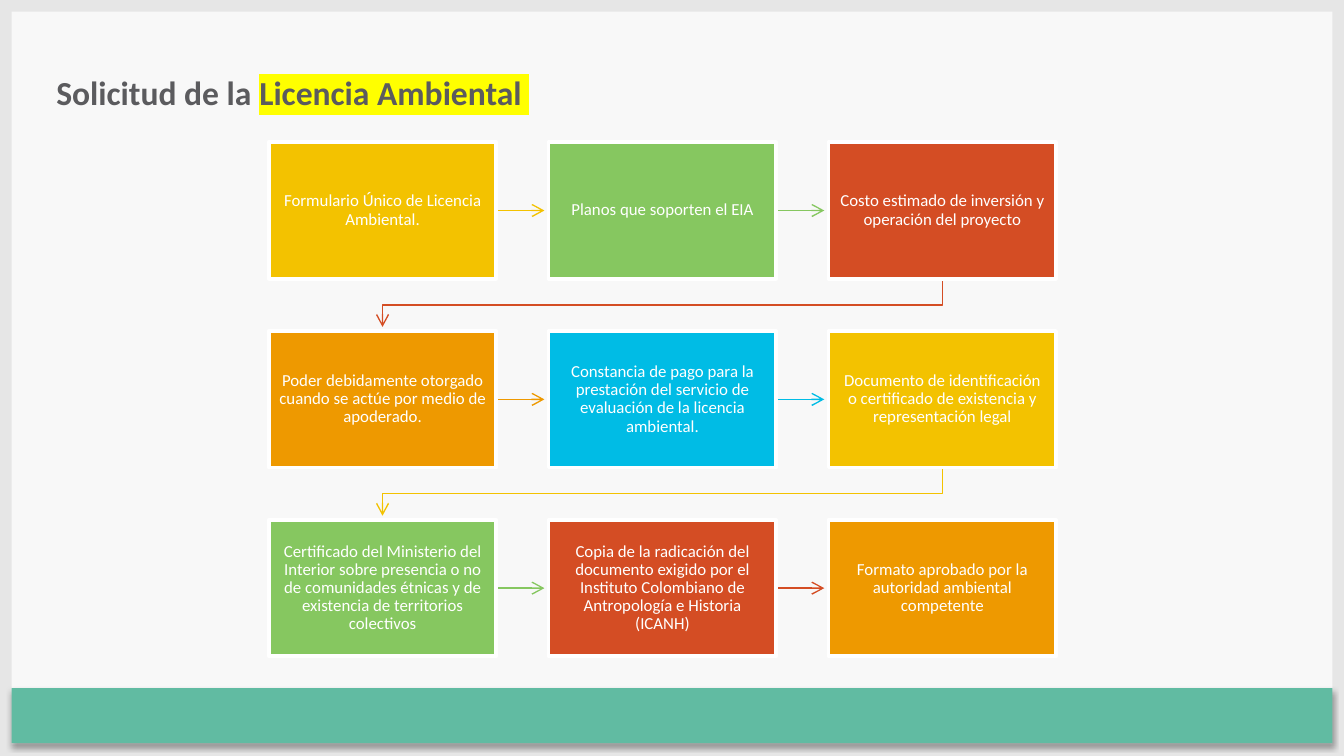
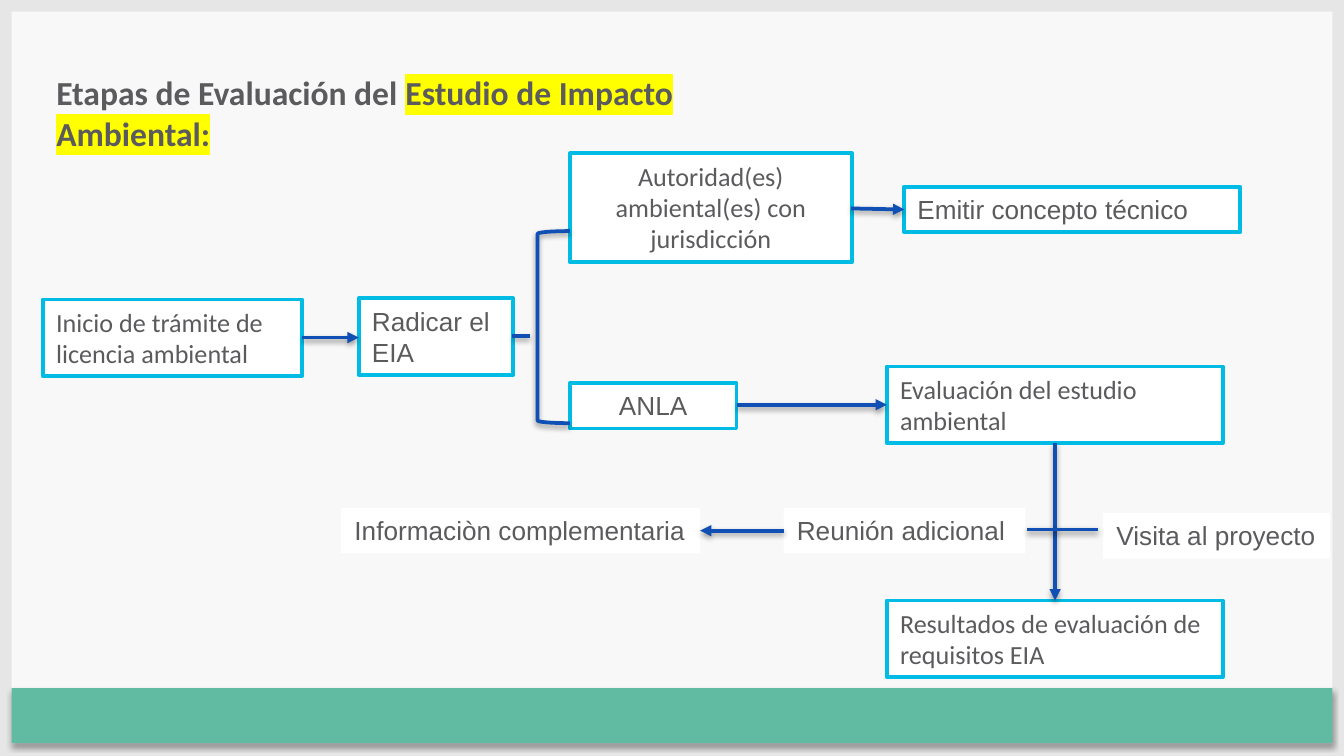
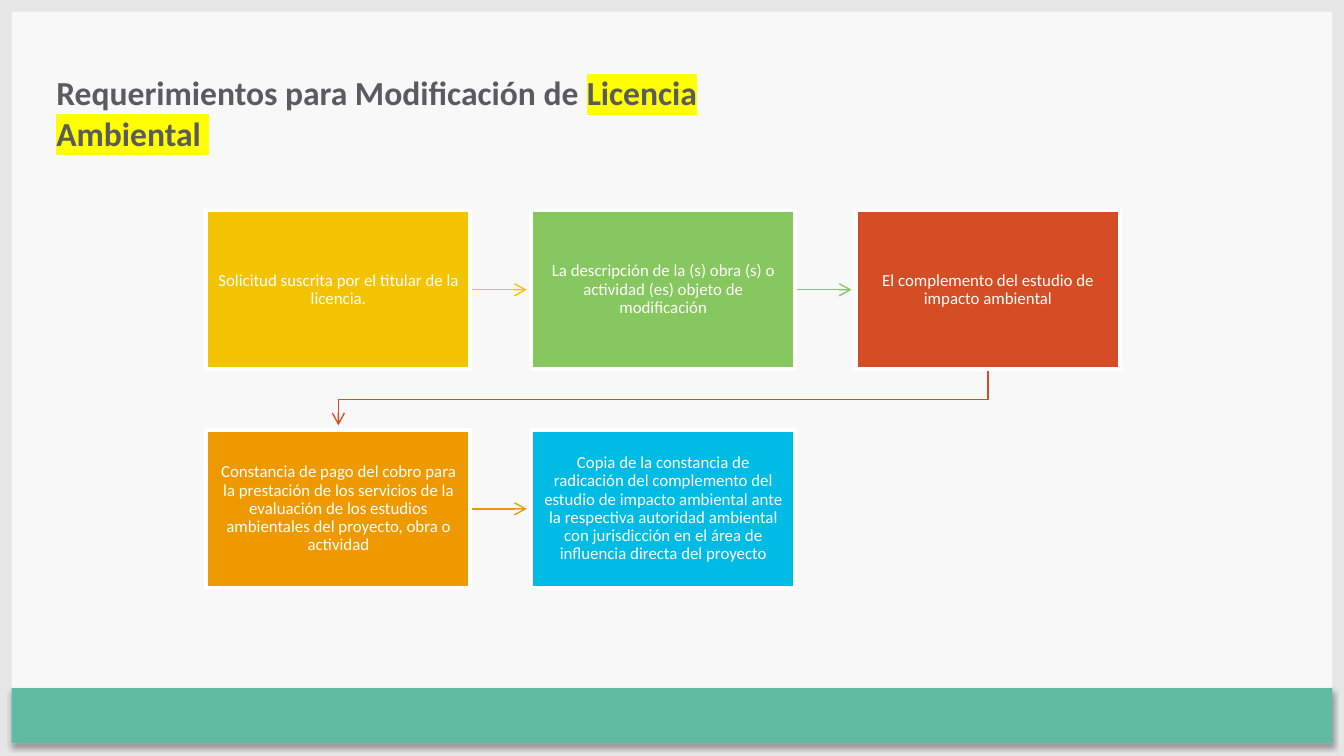
from lxml.etree import SubElement
from pptx import Presentation
from pptx.dml.color import RGBColor
from pptx.enum.shapes import MSO_CONNECTOR, MSO_SHAPE
from pptx.enum.text import MSO_ANCHOR, MSO_AUTO_SIZE, PP_ALIGN
from pptx.oxml import parse_xml
from pptx.oxml.ns import nsdecls, qn
from pptx.util import Cm, Pt

BACKGROUND = RGBColor(0xF8, 0xF8, 0xF8)
FRAME = RGBColor(0xE6, 0xE6, 0xE6)
BAND = RGBColor(0x61, 0xBB, 0xA2)
TEXT = RGBColor(0x5B, 0x5B, 0x5E)
WHITE = RGBColor(0xFF, 0xFF, 0xFF)
YELLOW = RGBColor(0xF3, 0xC2, 0x00)
GREEN = RGBColor(0x86, 0xC7, 0x60)
RED = RGBColor(0xD4, 0x4D, 0x24)
ORANGE = RGBColor(0xEE, 0x99, 0x00)
CYAN = RGBColor(0x00, 0xBC, 0xE5)
BLUE = RGBColor(0x10, 0x4F, 0xB3)
STEP_COLORS = [YELLOW, GREEN, RED, ORANGE, CYAN]
HIGHLIGHT = "FFFF00"

SLIDE_WIDTH, SLIDE_HEIGHT = 25.4, 14.29
FRAME_WIDTH = 0.22
BAND_TOP, BAND_HEIGHT = 13.01, 1.04
COLUMNS = 3
ARROW_CLEARANCE = 0.08
BAND_SHADOW = (1.8, 35)
LINE_SHADOW = (1.6, 38)

REQUEST = {
    "title": ("Solicitud de la ", "Licencia Ambiental "),
    "left": 5.08, "top": 2.69, "width": 4.3,
    "steps": [
        "Formulario Único de Licencia Ambiental.",
        "Planos que soporten el EIA",
        "Costo estimado de inversión y operación del proyecto",
        "Poder debidamente otorgado cuando se actúe por medio de apoderado.",
        "Constancia de pago para la prestación del servicio de evaluación de la licencia ambiental.",
        "Documento de identificación o certificado de existencia y representación legal",
        "Certificado del Ministerio del Interior sobre presencia o no de comunidades étnicas "
        "y de existencia de territorios colectivos",
        "Copia de la radicación del documento exigido por el Instituto Colombiano de "
        "Antropología e Historia (ICANH)",
        "Formato aprobado por la autoridad ambiental competente",
    ],
}
MODIFICATION = {
    "title": ("Requerimientos para Modificación de ", "Licencia Ambiental "),
    "left": 3.9, "top": 3.98, "width": 4.99,
    "steps": [
        "Solicitud suscrita por el titular de la licencia.",
        "La descripción de la (s) obra (s) o actividad (es) objeto de modificación",
        "El complemento del estudio de impacto ambiental",
        "Constancia de pago del cobro para la prestación de los servicios de la evaluación "
        "de los estudios ambientales del proyecto, obra o actividad",
        "Copia de la constancia de radicación del complemento del estudio de impacto ambiental "
        "ante la respectiva autoridad ambiental con jurisdicción en el área de influencia "
        "directa del proyecto",
    ],
}

STAGES_TITLE = ("Etapas de Evaluación del ", "Estudio de Impacto Ambiental:")
ONE_LINE, TWO_LINES, THREE_LINES = 0.86, 1.45, 2.06
LEFT, CENTER = PP_ALIGN.LEFT, PP_ALIGN.CENTER
STAGE_BOXES = [
    ("Inicio de trámite de licencia ambiental", "Calibri", LEFT, (0.81, 5.66, 4.9, TWO_LINES)),
    ("Radicar el EIA", "Arial", LEFT, (6.78, 5.64, 2.92, TWO_LINES)),
    ("ANLA", "Arial", CENTER, (10.77, 7.24, 3.15, ONE_LINE)),
    ("Autoridad(es) ambiental(es) con jurisdicción", "Calibri", CENTER,
     (10.77, 2.9, 5.33, THREE_LINES)),
    ("Evaluación del estudio ambiental", "Calibri", LEFT, (16.76, 6.93, 6.35, TWO_LINES)),
    ("Resultados de evaluación de requisitos EIA", "Calibri", LEFT,
     (16.76, 11.35, 6.35, TWO_LINES)),
    ("Emitir concepto técnico", "Arial", LEFT, (17.09, 3.53, 6.35, ONE_LINE)),
]
STAGE_LABELS = [
    ("Reunión adicional", (14.81, 9.6, 4.57, ONE_LINE)),
    ("Visita al proyecto", (20.85, 9.7, 4.29, ONE_LINE)),
    ("Informaciòn complementaria", (6.45, 9.6, 6.78, ONE_LINE)),
]
STAGE_BRACKET = (10.16, 4.37, 0.61, 3.63)
STAGE_ARROWS = [
    (5.71, 6.38, 6.78, 6.38),
    (13.92, 7.65, 16.76, 7.65),
    (19.94, 8.38, 19.94, 11.35),
    (16.08, 3.94, 17.09, 3.96),
    (14.81, 10.03, 13.23, 10.03),
]
STAGE_LINES = [(9.68, 6.35, 10.01, 6.35), (20.75, 10.01, 19.41, 10.01)]


def set_shadow(shape, shadow=None):
    """Replace the theme shadow by none, or by one of (distance, opacity)."""
    effects = SubElement(shape.element.spPr, qn("a:effectLst"))
    if shadow:
        distance, opacity = shadow
        effects.append(parse_xml(
            f'<a:outerShdw {nsdecls("a")} blurRad="{Pt(3.1)}" dist="{Pt(distance)}" '
            f'dir="5400000" rotWithShape="0"><a:srgbClr val="000000">'
            f'<a:alpha val="{opacity * 1000}"/></a:srgbClr></a:outerShdw>'))


def style_line(shape, color, width, shadow=None, arrowhead=None):
    """Set line colour, width, shadow and end arrowhead."""
    shape.line.color.rgb = color
    shape.line.width = Pt(width)
    if arrowhead:
        SubElement(shape.element.spPr.find(qn("a:ln")), qn("a:tailEnd"), type=arrowhead)
    set_shadow(shape, shadow)


def add_box(slide, place, fill, outline=None, shadow=None):
    """Add a filled rectangle placed in centimetres."""
    box = slide.shapes.add_shape(MSO_SHAPE.RECTANGLE, *map(Cm, place))
    box.fill.solid()
    box.fill.fore_color.rgb = fill
    if outline:
        style_line(box, outline, 2, shadow)
    else:
        box.line.fill.background()
        set_shadow(box, shadow)
    return box


def write(shape, text, font_name, size, color, alignment, anchor):
    """Write one formatted paragraph into a shape."""
    frame = shape.text_frame
    frame.text = text
    frame.word_wrap = True
    frame.vertical_anchor = anchor
    paragraph = frame.paragraphs[0]
    paragraph.alignment = alignment
    font = paragraph.runs[0].font
    font.name, font.size, font.color.rgb = font_name, Pt(size), color
    return frame


def add_connector(slide, ends, color, width, shadow=None, arrowhead=None):
    """Add a straight line between two points."""
    connector = slide.shapes.add_connector(MSO_CONNECTOR.STRAIGHT, *map(Cm, ends))
    style_line(connector, color, width, shadow, arrowhead)


def decorate_layout(layout, slide):
    """Give the layout its background, frame and bottom band."""
    layout.background.fill.solid()
    layout.background.fill.fore_color.rgb = BACKGROUND
    right, bottom = SLIDE_WIDTH - FRAME_WIDTH, SLIDE_HEIGHT - FRAME_WIDTH
    parts = [add_box(slide, place, FRAME) for place in (
        (0, 0, SLIDE_WIDTH, FRAME_WIDTH), (0, bottom, SLIDE_WIDTH, FRAME_WIDTH),
        (0, 0, FRAME_WIDTH, SLIDE_HEIGHT), (right, 0, FRAME_WIDTH, SLIDE_HEIGHT))]
    band_place = (FRAME_WIDTH, BAND_TOP, right - FRAME_WIDTH, BAND_HEIGHT)
    parts.append(add_box(slide, band_place, BAND, shadow=BAND_SHADOW))
    for index, part in enumerate(parts):
        layout.shapes.element.insert(2 + index, part.element)


def set_title(slide, texts, height):
    """Place the title and highlight its second part."""
    title = slide.shapes.title
    title.left, title.top, title.width, title.height = map(Cm, (0.81, 1.24, 12.7, height))
    frame = title.text_frame
    frame.word_wrap = True
    frame.auto_size = MSO_AUTO_SIZE.SHAPE_TO_FIT_TEXT
    frame.vertical_anchor = MSO_ANCHOR.TOP
    paragraph = frame.paragraphs[0]
    paragraph.alignment = PP_ALIGN.LEFT
    for text in texts:
        run = paragraph.add_run()
        run.text = text
        font = run.font
        font.name, font.size, font.bold, font.color.rgb = "Calibri", Pt(18), True, TEXT
    highlight = parse_xml(
        f'<a:highlight {nsdecls("a")}><a:srgbClr val="{HIGHLIGHT}"/></a:highlight>')
    font.fill.fore_color.rgb = TEXT
    run.font.color.rgb = TEXT
    run_properties = paragraph.runs[-1].font.color and run.text and paragraph.runs[-1]
    run_element = paragraph.runs[-1]._r if run_properties else None
    run_element.rPr.find(qn("a:solidFill")).addnext(highlight)


def add_process(slide, process):
    """Draw steps in rows of three, joined by arrows."""
    width = process["width"]
    height, gap = 0.6 * width, 0.23 * width
    places = [(process["left"] + index % COLUMNS * (width + gap),
               process["top"] + index // COLUMNS * (height + gap))
              for index in range(len(process["steps"]))]
    for index, (step, (left, top)) in enumerate(zip(process["steps"], places)):
        color = STEP_COLORS[index % len(STEP_COLORS)]
        if index + 1 < len(places):
            next_left, next_top = places[index + 1]
            if next_top == top:
                middle = top + height / 2
                ends = (left + width, middle, next_left - ARROW_CLEARANCE, middle)
                add_connector(slide, ends, color, 0.75, arrowhead="arrow")
            else:
                start, end = left + width / 2, next_left + width / 2
                bottom = top + height
                turn = bottom + gap / 2
                points = [(start, turn), (end, turn), (end, next_top - ARROW_CLEARANCE)]
                builder = slide.shapes.build_freeform(Cm(start), Cm(bottom))
                builder.add_line_segments([(Cm(x), Cm(y)) for x, y in points], close=False)
                elbow = builder.convert_to_shape()
                elbow.fill.background()
                style_line(elbow, color, 0.75, arrowhead="arrow")
        box = add_box(slide, (left, top, width, height), color, WHITE)
        frame = write(box, step, "Calibri", 9, WHITE, CENTER, MSO_ANCHOR.MIDDLE)
        frame.paragraphs[0].line_spacing = 0.9
        frame.margin_left = frame.margin_right = Cm(0.18)
        frame.margin_top = frame.margin_bottom = Cm(0.18)


def add_stages(slide):
    """Draw the evaluation stages and the lines between them."""
    for text, font_name, alignment, place in STAGE_BOXES:
        box = add_box(slide, place, WHITE, CYAN)
        write(box, text, font_name, 14, TEXT, alignment, MSO_ANCHOR.TOP)
    for text, place in STAGE_LABELS:
        label = add_box(slide, place, WHITE)
        write(label, text, "Arial", 14, TEXT, LEFT, MSO_ANCHOR.TOP).word_wrap = False
    bracket = slide.shapes.add_shape(MSO_SHAPE.LEFT_BRACKET, *map(Cm, STAGE_BRACKET))
    bracket.fill.background()
    style_line(bracket, BLUE, 2, LINE_SHADOW)
    for ends in STAGE_ARROWS:
        add_connector(slide, ends, BLUE, 2, LINE_SHADOW, "triangle")
    for ends in STAGE_LINES:
        add_connector(slide, ends, BLUE, 2, LINE_SHADOW)


def main():
    """Build the three slides and save them."""
    presentation = Presentation()
    presentation.slide_width, presentation.slide_height = Cm(SLIDE_WIDTH), Cm(SLIDE_HEIGHT)
    layout = presentation.slide_layouts[5]
    request, stages, modification = [presentation.slides.add_slide(layout) for _ in range(3)]
    decorate_layout(layout, request)
    set_title(request, REQUEST["title"], 1.02)
    add_process(request, REQUEST)
    set_title(stages, STAGES_TITLE, 1.8)
    add_stages(stages)
    set_title(modification, MODIFICATION["title"], 1.8)
    add_process(modification, MODIFICATION)
    presentation.save("out.pptx")


if __name__ == "__main__":
    main()
